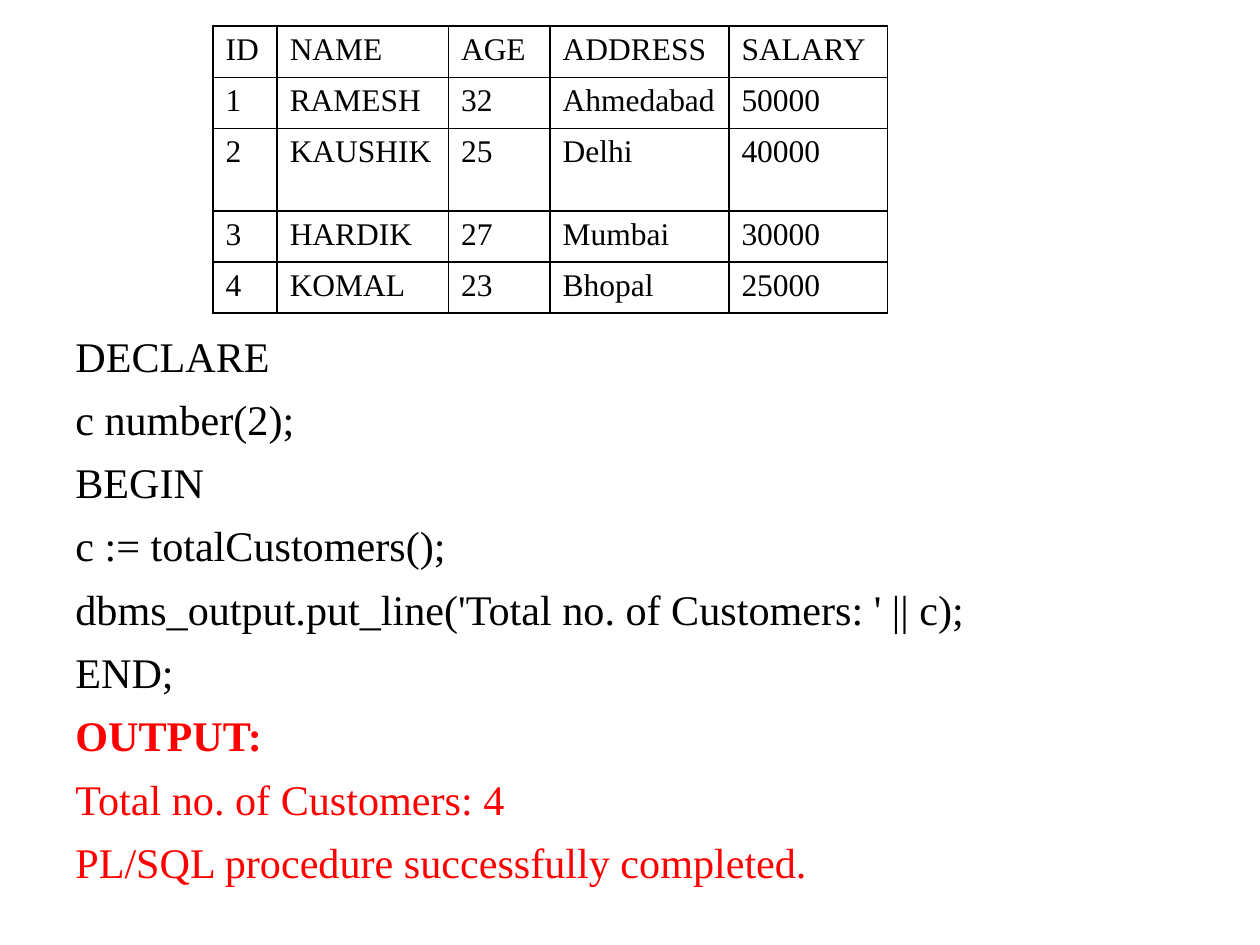
import pptx
import pptx.dml.color
import pptx.oxml
import pptx.oxml.ns
import pptx.util

Pt = pptx.util.Pt
BLACK = pptx.dml.color.RGBColor(0x00, 0x00, 0x00)
RED = pptx.dml.color.RGBColor(0xFF, 0x00, 0x00)
FONT = "Times New Roman"

COLUMN_WIDTHS = [36.7, 97.9, 58.1, 102.2, 90.7]
ROW_HEIGHTS = [29.2, 29.2, 47.2, 29.2, 29.2]
CUSTOMERS = [
    ["ID", "NAME", "AGE", "ADDRESS", "SALARY"],
    ["1", "RAMESH", "32", "Ahmedabad", "50000"],
    ["2", "KAUSHIK", "25", "Delhi", "40000"],
    ["3", "HARDIK", "27", "Mumbai", "30000"],
    ["4", "KOMAL", "23", "Bhopal", "25000"],
]
CODE = [
    "DECLARE",
    "c number(2);",
    "BEGIN",
    "c := totalCustomers();",
    "dbms_output.put_line('Total no. of Customers: ' || c);",
    "END;",
]
OUTPUT_HEADING = "OUTPUT:"
OUTPUT = ["Total no. of Customers: 4", "PL/SQL procedure successfully completed."]


def write(paragraph, text, size, color=BLACK, bold=False):
    run = paragraph.add_run()
    run.text = text
    for name, value in {"name": FONT, "size": Pt(size), "bold": bold}.items():
        setattr(run.font, name, value)
    run.font.color.rgb = color


def add_borders(cell, width=1):
    properties = cell._tc.get_or_add_tcPr()
    for position, side in enumerate(("lnL", "lnR", "lnT", "lnB")):
        border = pptx.oxml.parse_xml(
            f'<a:{side} {pptx.oxml.ns.nsdecls("a")} w="{Pt(width)}">'
            f'<a:solidFill><a:srgbClr val="{BLACK}"/></a:solidFill></a:{side}>'
        )
        properties.insert(position, border)


def add_customer_table(slide, left, top, width, height):
    frame = slide.shapes.add_table(
        len(CUSTOMERS), len(COLUMN_WIDTHS), Pt(left), Pt(top), Pt(width), Pt(height)
    )
    table = frame.table
    table.first_row = table.horz_banding = False
    for column, column_width in zip(table.columns, COLUMN_WIDTHS):
        column.width = Pt(column_width)
    for row, row_height, values in zip(table.rows, ROW_HEIGHTS, CUSTOMERS):
        row.height = Pt(row_height)
        for cell, value in zip(row.cells, values):
            cell.fill.background()
            add_borders(cell)
            write(cell.text_frame.paragraphs[0], value, 18)


def add_program(slide, left, top, width, height):
    text_frame = slide.shapes.add_textbox(
        Pt(left), Pt(top), Pt(width), Pt(height)
    ).text_frame
    text_frame.word_wrap = True
    lines = [(text, BLACK, False) for text in CODE]
    lines.append((OUTPUT_HEADING, RED, True))
    lines += [(text, RED, False) for text in OUTPUT]
    for index, (text, color, bold) in enumerate(lines):
        paragraph = text_frame.add_paragraph() if index else text_frame.paragraphs[0]
        paragraph.space_before = Pt(7.25 if index else 2.5)
        write(paragraph, text, 24.1, color, bold)


def main():
    presentation = pptx.Presentation()
    presentation.slide_width, presentation.slide_height = Pt(720), Pt(540)
    slide = presentation.slides.add_slide(presentation.slide_layouts[6])

    # Program code and its output
    add_program(slide, left=36, top=185, width=570, height=312)

    # Customer table
    add_customer_table(
        slide, left=121.7, top=15, width=sum(COLUMN_WIDTHS), height=sum(ROW_HEIGHTS)
    )

    presentation.save("out.pptx")


if __name__ == "__main__":
    main()
